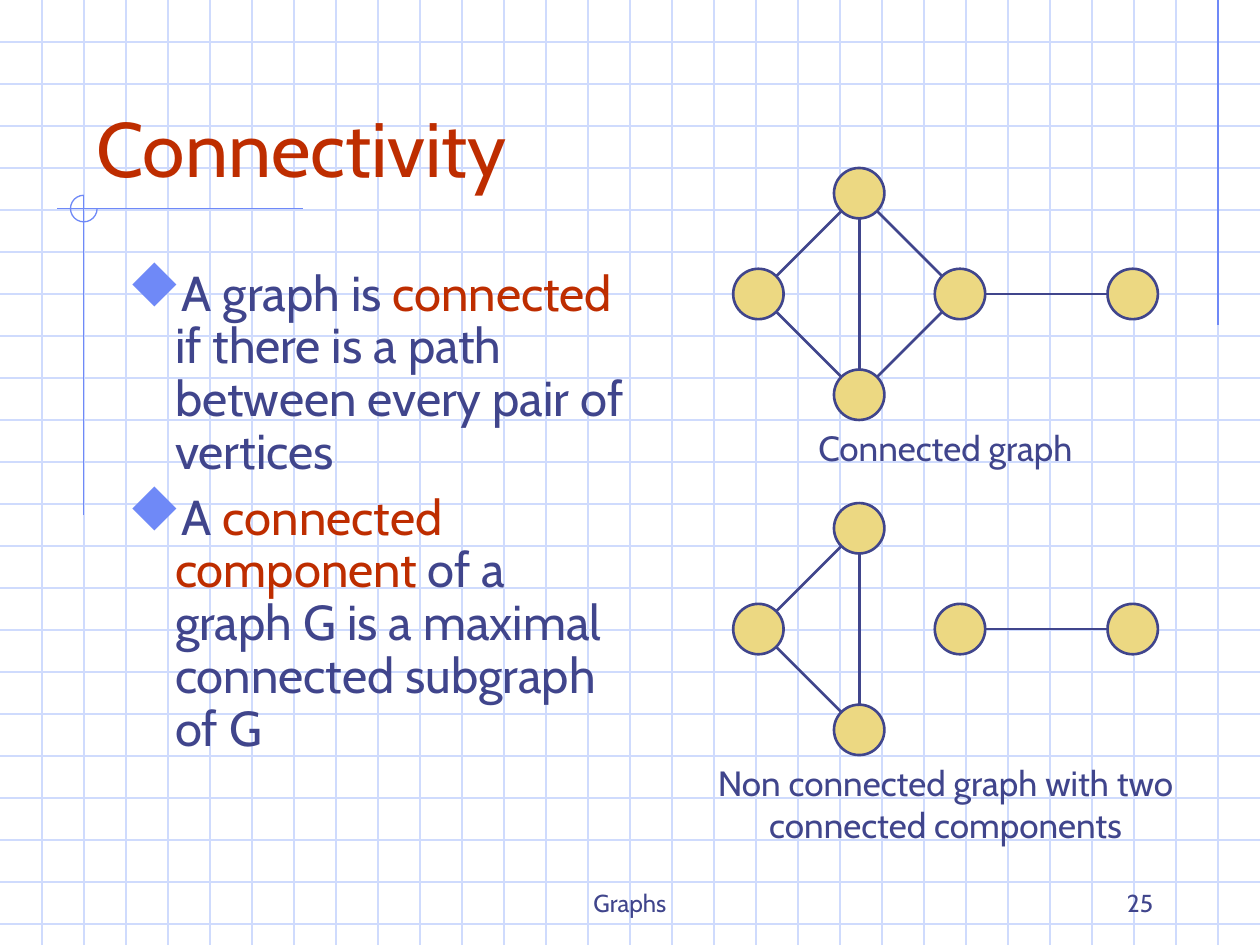
import math

import lxml.etree
import pptx
import pptx.dml.color
import pptx.enum.shapes
import pptx.enum.text
import pptx.oxml.ns
import pptx.util

Pt = pptx.util.Pt
ALIGN = pptx.enum.text.PP_ALIGN
ANCHOR = pptx.enum.text.MSO_ANCHOR
SHAPE = pptx.enum.shapes.MSO_SHAPE

WIDTH, HEIGHT, GRID_STEP = 720, 540, 24
RADIUS = 14.4
INK, RED, BLUE, PALE, GOLD = "40458C", "BE2D00", "6F89F7", "CFDBFD", "ECD882"

VERTICES = {
    "left": (433.4, 168),
    "top": (491, 110.4),
    "right": (548.6, 168),
    "bottom": (491, 225.6),
    "far": (647.3, 168),
}
SHARED_EDGES = [("top", "left"), ("bottom", "left"), ("top", "bottom"), ("right", "far")]
BRIDGE_EDGES = [("bottom", "right"), ("top", "right")]


def color(value):
    return pptx.dml.color.RGBColor.from_string(value)


def set_values(target, values):
    for name, value in values.items():
        setattr(target, name, value)


def add_xml(parent, tag, **attributes):
    return lxml.etree.SubElement(parent, pptx.oxml.ns.qn(tag), attributes)


def add_line(page, start, end, stroke, weight=0.75):
    line = page.shapes.add_connector(
        pptx.enum.shapes.MSO_CONNECTOR.STRAIGHT, *map(Pt, (*start, *end))
    )
    line.line.color.rgb = color(stroke)
    line.line.width = Pt(weight)
    add_xml(line._element.spPr, "a:effectLst")


def add_round(page, kind, center, radius, stroke, weight, fill=None):
    x, y = center
    shape = page.shapes.add_shape(
        kind, Pt(x - radius), Pt(y - radius), Pt(2 * radius), Pt(2 * radius)
    )
    shape.shadow.inherit = False
    shape.line.color.rgb = color(stroke)
    shape.line.width = Pt(weight)
    if fill:
        shape.fill.solid()
        shape.fill.fore_color.rgb = color(fill)
    else:
        shape.fill.background()
    return shape


def add_bullet(para):
    properties = para._p.get_or_add_pPr()
    margins = {"marL": str(Pt(27)), "indent": str(Pt(-27))}
    for name, value in margins.items():
        properties.set(name, value)
    add_xml(add_xml(properties, "a:buClr"), "a:srgbClr", val=BLUE)
    add_xml(properties, "a:buSzPct", val="110000")
    add_xml(properties, "a:buFont", typeface="Wingdings", pitchFamily="2", charset="2")
    add_xml(properties, "a:buChar", char="u")


def add_text(page, bounds, paragraphs, size, anchor=ANCHOR.TOP, align=ALIGN.LEFT, bullets=False):
    box = page.shapes.add_textbox(*map(Pt, bounds))
    frame = box.text_frame
    set_values(frame, {"word_wrap": True, "vertical_anchor": anchor})
    for index, spans in enumerate(paragraphs):
        para = frame.add_paragraph() if index else frame.paragraphs[0]
        if bullets:
            add_bullet(para)
            set_values(para, {"line_spacing": 0.9, "space_before": Pt(7 if index else 0)})
        para.alignment = align
        for text, ink in spans:
            span = para.add_run()
            span.text = text
            set_values(span.font, {"name": "Cabin", "size": Pt(size)})
            span.font.color.rgb = color(ink)


def add_background(page):
    for y in range(GRID_STEP, HEIGHT, GRID_STEP):
        add_line(page, (0, y), (WIDTH, y), PALE)
    for x in range(GRID_STEP, WIDTH, GRID_STEP):
        add_line(page, (x, 0), (x, HEIGHT), PALE)
    add_line(page, (696, 0), (696, 186), BLUE)
    add_line(page, (173, 119.2), (32.6, 119.2), BLUE)
    add_line(page, (47.9, 111.5), (47.9, 294.5), BLUE)
    arc = add_round(page, SHAPE.ARC, (47.9, 119.2), 7.6, BLUE, 0.75)
    arc.adjustments[0] = 0
    arc.adjustments[1] = 162


def add_graph(page, drop, edges):
    centers = {name: (x, y + drop) for name, (x, y) in VERTICES.items()}
    for center in centers.values():
        add_round(page, SHAPE.OVAL, center, RADIUS, INK, 1.5, GOLD)
    for first, second in edges:
        start, end = centers[first], centers[second]
        trim = RADIUS / math.dist(start, end)
        shift_x, shift_y = (trim * (b - a) for a, b in zip(start, end))
        add_line(
            page,
            (start[0] + shift_x, start[1] + shift_y),
            (end[0] - shift_x, end[1] - shift_y),
            INK,
            1.5,
        )


def main():
    deck = pptx.Presentation()
    set_values(deck, {"slide_width": Pt(WIDTH), "slide_height": Pt(HEIGHT)})
    page = deck.slides.add_slide(deck.slide_layouts[6])

    add_background(page)
    add_text(page, (48, 24, 612, 90), [[("Connectivity", RED)]], 44, ANCHOR.BOTTOM)
    definitions = [
        [
            ("A graph is ", INK),
            ("connected", RED),
            (" if there is a path between every pair of vertices", INK),
        ],
        [
            ("A ", INK),
            ("connected component", RED),
            (" of a graph G is a maximal connected subgraph of G", INK),
        ],
    ]
    add_text(page, (66, 150, 300, 324), definitions, 28, bullets=True)

    add_graph(page, 0, SHARED_EDGES + BRIDGE_EDGES)
    add_graph(page, 191.5, SHARED_EDGES)
    captions = [
        ((428, 240, 224.6, 31.5), "Connected graph"),
        ((396.7, 431.5, 287.3, 55.5), "Non connected graph with two connected components"),
    ]
    for bounds, caption in captions:
        add_text(page, bounds, [[(caption, INK)]], 20, align=ALIGN.CENTER)

    add_text(page, (246, 492, 228, 36), [[("Graphs", INK)]], 14, ANCHOR.BOTTOM, ALIGN.CENTER)
    add_text(page, (516, 492, 150, 36), [[("25", INK)]], 14, ANCHOR.BOTTOM, ALIGN.RIGHT)
    deck.save("out.pptx")


if __name__ == "__main__":
    main()
